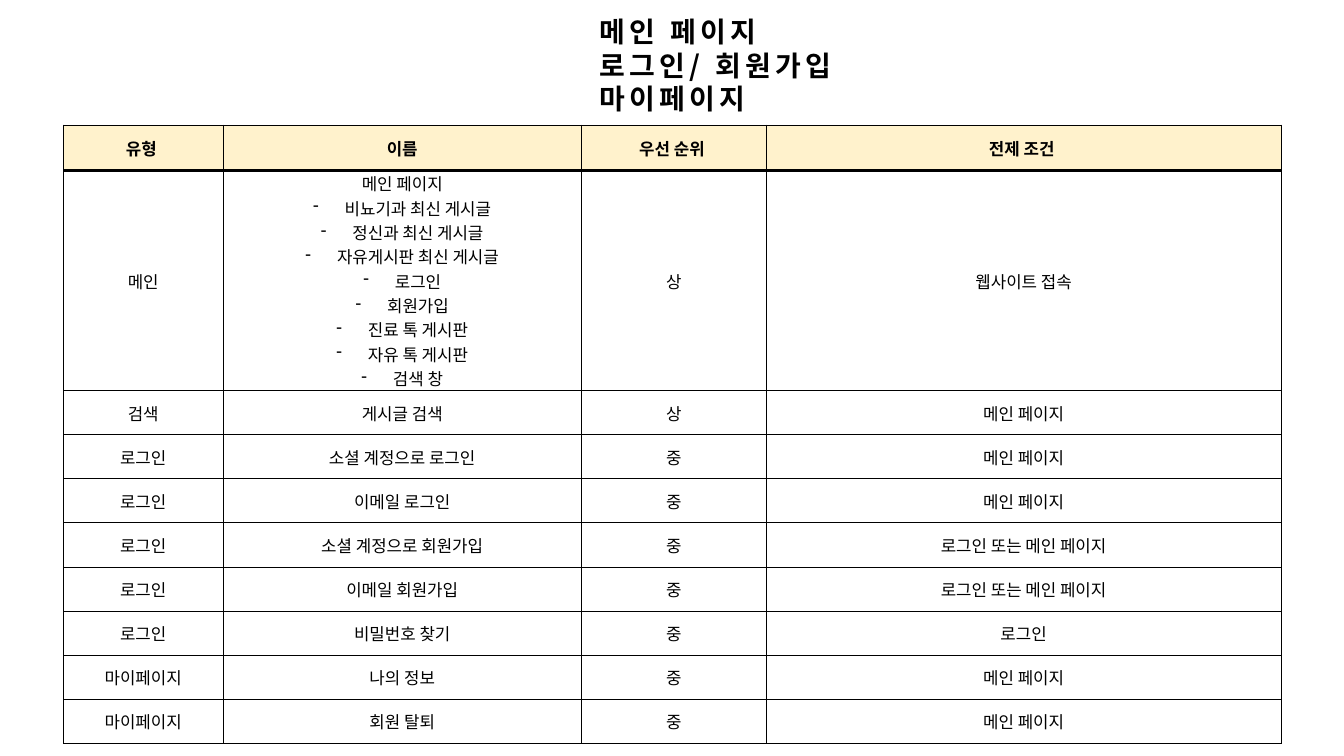
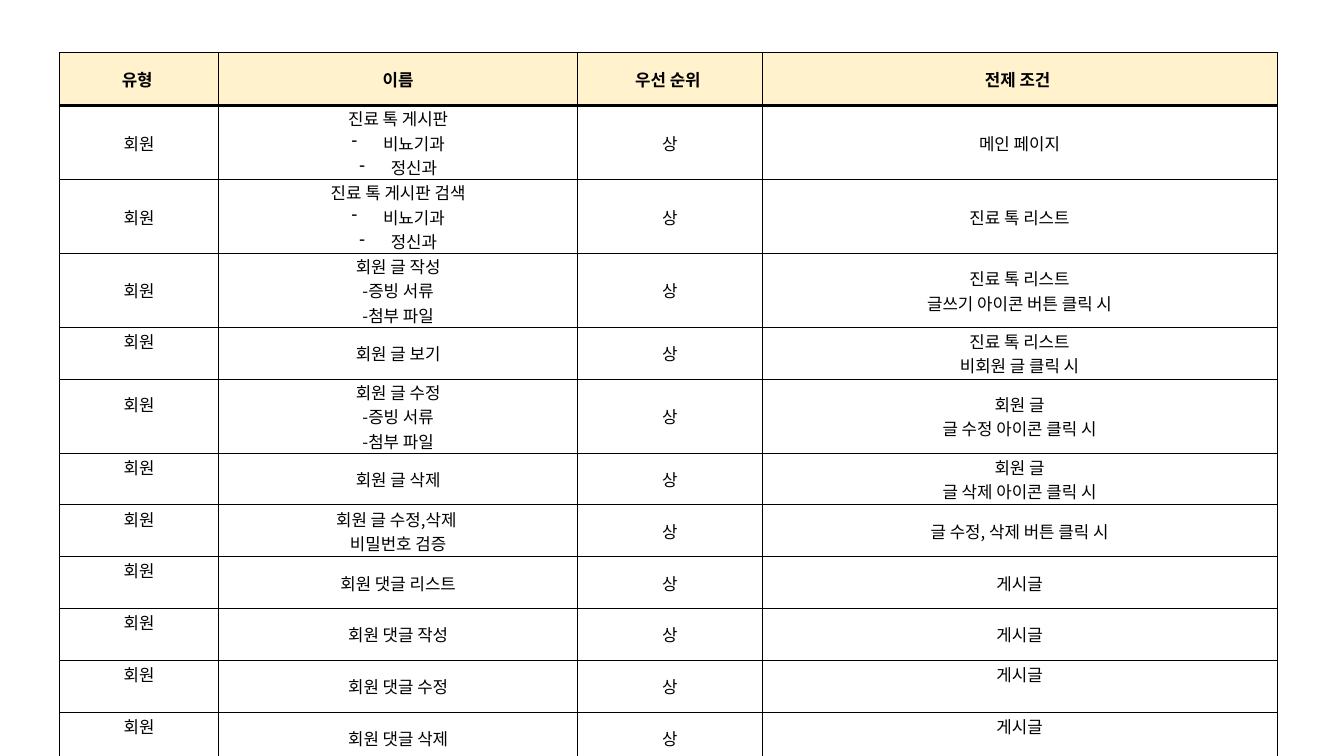
"""Builds two slides of feature tables for a medical community site."""
from lxml.etree import SubElement
from pptx import Presentation
from pptx.dml.color import RGBColor
from pptx.enum.text import MSO_ANCHOR, PP_ALIGN
from pptx.oxml.ns import qn
from pptx.util import Pt

BLACK = RGBColor(0x00, 0x00, 0x00)
CREAM = RGBColor(0xFF, 0xF2, 0xCC)
FONT = "Noto Sans CJK KR"
LINE = 17.4
BULLET_INDENT = Pt(22.5)
COLUMN_WIDTHS = [113.8, 256.3, 131.8, 367.9]
HEADINGS = ["유형 ", " 이름 ", "우선 순위 ", "전제 조건 "]

MAIN_ROWS = [
    ("메인", "메인 페이지\n- 비뇨기과 최신 게시글\n- 정신과 최신 게시글\n- 자유게시판 최신 게시글\n"
     "- 로그인\n- 회원가입\n- 진료 톡 게시판\n- 자유 톡 게시판\n- 검색 창", "상", "웹사이트 접속"),
    ("검색", "게시글 검색", "상", "메인 페이지"),
    ("로그인", "소셜 계정으로 로그인", "중", "메인 페이지"),
    ("로그인", "이메일 로그인", "중", "메인 페이지"),
    ("로그인", "소셜 계정으로 회원가입", "중", "로그인 또는 메인 페이지"),
    ("로그인", "이메일 회원가입", "중", "로그인 또는 메인 페이지"),
    ("로그인", "비밀번호 찾기", "중", "로그인"),
    ("마이페이지", "나의 정보", "중", "메인 페이지"),
    ("마이페이지", "회원 탈퇴", "중", "메인 페이지"),
]
MEMBER_ROWS = [("회원", name, "상", condition) for name, condition in [
    ("진료 톡 게시판\n- 비뇨기과\n- 정신과", "메인 페이지"),
    ("진료 톡 게시판 검색\n- 비뇨기과\n- 정신과", "진료 톡 리스트"),
    ("회원 글 작성\n-증빙 서류\n-첨부 파일", "진료 톡 리스트\n글쓰기 아이콘 버튼 클릭 시"),
    ("회원 글 보기", "진료 톡 리스트\n비회원 글 클릭 시"),
    ("회원 글 수정\n-증빙 서류\n-첨부 파일", "회원 글\n글 수정 아이콘 클릭 시"),
    ("회원 글 삭제", "회원 글\n글 삭제 아이콘 클릭 시"),
    ("회원 글 수정,삭제 \n비밀번호 검증", "글 수정, 삭제 버튼 클릭 시"),
    ("회원 댓글 리스트", "게시글"),
    ("회원 댓글 작성", "게시글"),
    ("회원 댓글 수정", "게시글"),
    ("회원 댓글 삭제", "게시글"),
]]
RAISED_CELLS = {(row, 0) for row in range(4, 12)} | {(10, 3), (11, 3)}


def write(frame, text, size=12, bold=False, align=PP_ALIGN.CENTER, tracking=0, spacing=None):
    for index, line in enumerate(text.split("\n")):
        paragraph = frame.paragraphs[0] if index == 0 else frame.add_paragraph()
        paragraph.alignment = align
        if spacing:
            paragraph.line_spacing = Pt(spacing)
        if line.startswith("- "):
            properties = paragraph._p.get_or_add_pPr()
            properties.set("marL", str(BULLET_INDENT))
            properties.set("indent", str(-BULLET_INDENT))
            SubElement(properties, qn("a:buChar"), char="-")
        run = paragraph.add_run()
        run.text = line.removeprefix("- ")
        run.font.size = Pt(size)
        run.font.bold = bold
        run.font.name = FONT
        run.font.color.rgb = BLACK
        run_properties = run._r.get_or_add_rPr()
        SubElement(run_properties, qn("a:ea"), typeface=FONT)
        if tracking:
            run_properties.set("spc", str(tracking * 100))


def add_border(cell, side, width):
    border = SubElement(cell._tc.get_or_add_tcPr(), qn(f"a:ln{side}"), w=str(Pt(width)))
    fill = SubElement(border, qn("a:solidFill"))
    SubElement(fill, qn("a:srgbClr"), val=str(BLACK))


prs = Presentation()
prs.slide_width, prs.slide_height = Pt(960), Pt(540)

feature_lists = [
    (MAIN_ROWS, 45.4, 89.3, 32.4, 31.5, set()),
    (MEMBER_ROWS, 42.5, 37.4, 38, 37, RAISED_CELLS),
]
slides = []
for features, left, top, heading_height, row_height, raised in feature_lists:
    slide = prs.slides.add_slide(prs.slide_layouts[6])
    slides.append(slide)
    rows = [HEADINGS, *features]
    heights = [heading_height] + [
        max(row_height, 0.6 + LINE * max(text.count("\n") + 1 for text in row)) for row in features]
    table = slide.shapes.add_table(len(rows), len(HEADINGS), Pt(left), Pt(top),
                                   Pt(sum(COLUMN_WIDTHS)), Pt(sum(heights))).table
    table.first_row = table.horz_banding = False
    for column, width in zip(table.columns, COLUMN_WIDTHS):
        column.width = Pt(width)
    for r, row in enumerate(rows):
        table.rows[r].height = Pt(heights[r])
        for c, text in enumerate(row):
            cell = table.cell(r, c)
            cell.vertical_anchor = MSO_ANCHOR.MIDDLE
            cell.margin_left = cell.margin_right = cell.margin_top = Pt(0.6)
            cell.margin_bottom = Pt(LINE if (r, c) in raised else 0)
            write(cell.text_frame, text, bold=r == 0)
            for side in "LRTB":
                heavy = (r, side) in ((0, "B"), (1, "T"))
                add_border(cell, side, 2 if heavy else 0.5)
            if r == 0:
                cell.fill.solid()
                cell.fill.fore_color.rgb = CREAM
            else:
                cell.fill.background()

title = slides[0].shapes.add_textbox(Pt(421.2), Pt(7), Pt(233.3), Pt(80)).text_frame
title.word_wrap = True
write(title, "메인 페이지\n로그인/ 회원가입\n마이페이지", size=20, bold=True,
      align=PP_ALIGN.LEFT, tracking=3, spacing=24)

prs.save("out.pptx")
